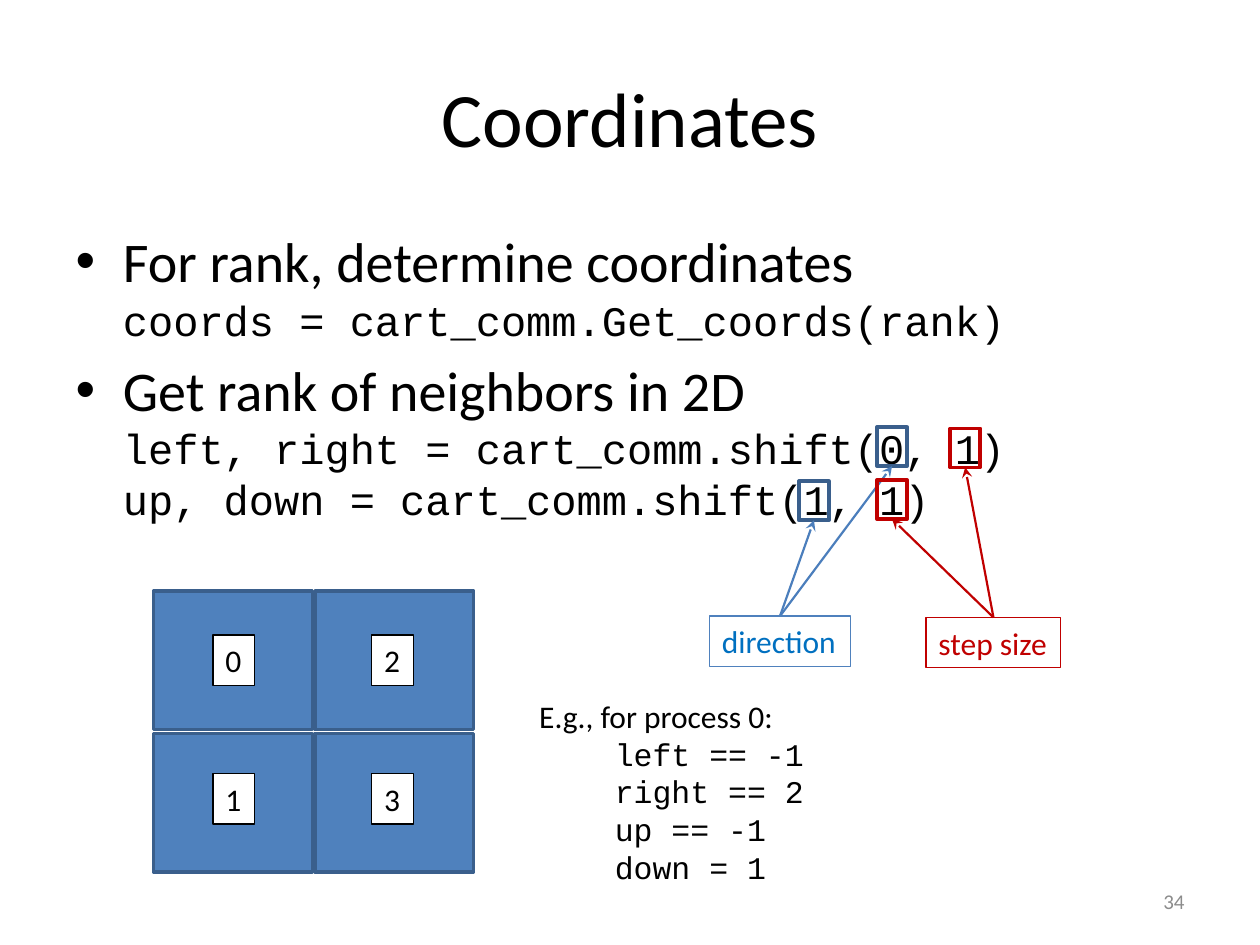
"""Build the slide on grid coordinates and neighbor ranks."""
import copy
import pptx
import pptx.util
import pptx.dml.color
import pptx.enum.shapes
import pptx.enum.text
import pptx.oxml
import pptx.oxml.ns

Pt = pptx.util.Pt
RGB = pptx.dml.color.RGBColor.from_string
SANS, MONO = "Calibri", "Courier New"
COLORS = {
    "black": "000000", "white": "FFFFFF", "gray": "8C8C8C",
    "cell": "4F81BD", "edge": "3A5F8C", "arrow": "4B7EBC",
    "blue": "0070C0", "red": "C00000",
}


def style(run, size, face=SANS, color="black"):
    run.font.size = Pt(size)
    run.font.name = face
    run.font.color.rgb = RGB(COLORS[color])


def write(para, lines, head, code):
    """Set a heading line with code lines below it."""
    para.text = "\v".join(lines)
    for i, run in enumerate(para.runs):
        style(run, code if i else head, MONO if i else SANS)
    last = None
    for item in para._p:
        if item.tag == pptx.oxml.ns.qn("a:r"):
            last = item.rPr
        elif item.tag == pptx.oxml.ns.qn("a:br"):
            item.append(copy.deepcopy(last))


def place(shape, left, top, width, height):
    shape.left, shape.top = Pt(left), Pt(top)
    shape.width, shape.height = Pt(width), Pt(height)


def add_box(shapes, spot, edge, fill=None):
    kind = pptx.enum.shapes.MSO_SHAPE.RECTANGLE
    box = shapes.add_shape(kind, *map(Pt, spot))
    box.shadow.inherit = False
    if fill:
        box.fill.solid()
        box.fill.fore_color.rgb = RGB(COLORS[fill])
    else:
        box.fill.background()
    box.line.color.rgb = RGB(COLORS[edge])
    box.line.width = Pt(2)


def add_label(shapes, spot, text, color, edge, fill=None):
    box = shapes.add_textbox(*map(Pt, spot))
    box.text_frame.word_wrap = False
    box.text_frame.text = text
    style(box.text_frame.paragraphs[0].runs[0], 18, color=color)
    box.line.color.rgb = RGB(COLORS[edge])
    box.line.width = Pt(0.75)
    if fill:
        box.fill.solid()
        box.fill.fore_color.rgb = RGB(COLORS[fill])


def add_arrow(shapes, start, end, color):
    kind = pptx.enum.shapes.MSO_CONNECTOR.STRAIGHT
    arrow = shapes.add_connector(kind, *map(Pt, start + end))
    arrow.line.color.rgb = RGB(COLORS[color])
    arrow.line.width = Pt(1.25)
    space = pptx.oxml.ns.nsdecls("a")
    tip = pptx.oxml.parse_xml(f'<a:tailEnd {space} type="stealth"/>')
    arrow.line._get_or_add_ln().append(tip)
    arrow._element.spPr.append(pptx.oxml.parse_xml(f"<a:effectLst {space}/>"))


def add_note(slide, marks, spot, text, ink, edge, mark, line):
    """Frame arguments and point to them from one label."""
    shapes = slide.shapes.add_group_shape().shapes
    wide, high = 17.3, 22.3
    for left, top in marks:
        add_box(shapes, (left, top, wide, high), mark)
    start = (spot[0] + spot[2] / 2, spot[1])
    for left, top in marks:
        add_arrow(shapes, start, (left + wide / 2, top + high), line)
    add_label(shapes, spot, text, ink, edge)


def add_grid(slide):
    """Draw the process grid, ranked column by column."""
    shapes = slide.shapes.add_group_shape().shapes
    cells = [divmod(rank, 2) for rank in range(4)]
    for col, row in cells:
        spot = (87.8 + 92.2 * col, 337.7 + 81.4 * row, 90.7, 79.2)
        add_box(shapes, spot, "edge", "cell")
    for rank, (col, row) in enumerate(cells):
        spot = (121.7 + 90.7 * col, 362.9 + 79.2 * row, 23.8, 28.8)
        add_label(shapes, spot, str(rank), "black", "black", "white")


def add_title(slide):
    title = slide.shapes.title
    place(title, 36, 21.6, 648, 90)
    title.text_frame.text = "Coordinates"
    style(title.text_frame.paragraphs[0].runs[0], 44)


def add_list(slide):
    body = slide.placeholders[1]
    place(body, 36, 126, 648, 356.4)
    frame = body.text_frame
    first = frame.paragraphs[0]
    first.space_before = Pt(0)
    write(first, ["For rank, determine coordinates",
                  "coords = cart_comm.Get_coords(rank)"], 32, 24)
    write(frame.add_paragraph(), ["Get rank of neighbors in 2D",
                                  "left, right = cart_comm.shift(0, 1)",
                                  "up, down = cart_comm.shift(1, 1)"], 32, 24)


def add_case(slide):
    frame = slide.shapes.add_textbox(
        Pt(301), Pt(394.6), Pt(166.3), Pt(116.6)).text_frame
    frame.word_wrap = False
    write(frame.paragraphs[0], ["E.g., for process 0:", "    left == -1",
                                "    right == 2", "    up == -1",
                                "    down = 1"], 18, 18)


def add_number(slide):
    frame = slide.shapes.add_textbox(
        Pt(516.2), Pt(500.4), Pt(167.8), Pt(28.8)).text_frame
    frame.word_wrap = True
    frame.vertical_anchor = pptx.enum.text.MSO_ANCHOR.MIDDLE
    para = frame.paragraphs[0]
    para.text = "34"
    para.alignment = pptx.enum.text.PP_ALIGN.RIGHT
    style(para.runs[0], 12, color="gray")


def main():
    deck = pptx.Presentation()
    deck.slide_width, deck.slide_height = Pt(720), Pt(540)
    slide = deck.slides.add_slide(deck.slide_layouts[1])
    add_title(slide)
    add_list(slide)
    add_number(slide)
    add_note(slide, [(456.5, 275), (501.1, 244.1)], (405.4, 352.1, 80.6, 28.8),
             "direction", "blue", "cell", "edge", "arrow")
    add_note(slide, [(501.1, 274.3), (542.9, 244.8)], (529.2, 352.8, 77, 28.8),
             "step size", "red", "red", "red", "red")
    add_grid(slide)
    add_case(slide)
    deck.save("out.pptx")


if __name__ == "__main__":
    main()
